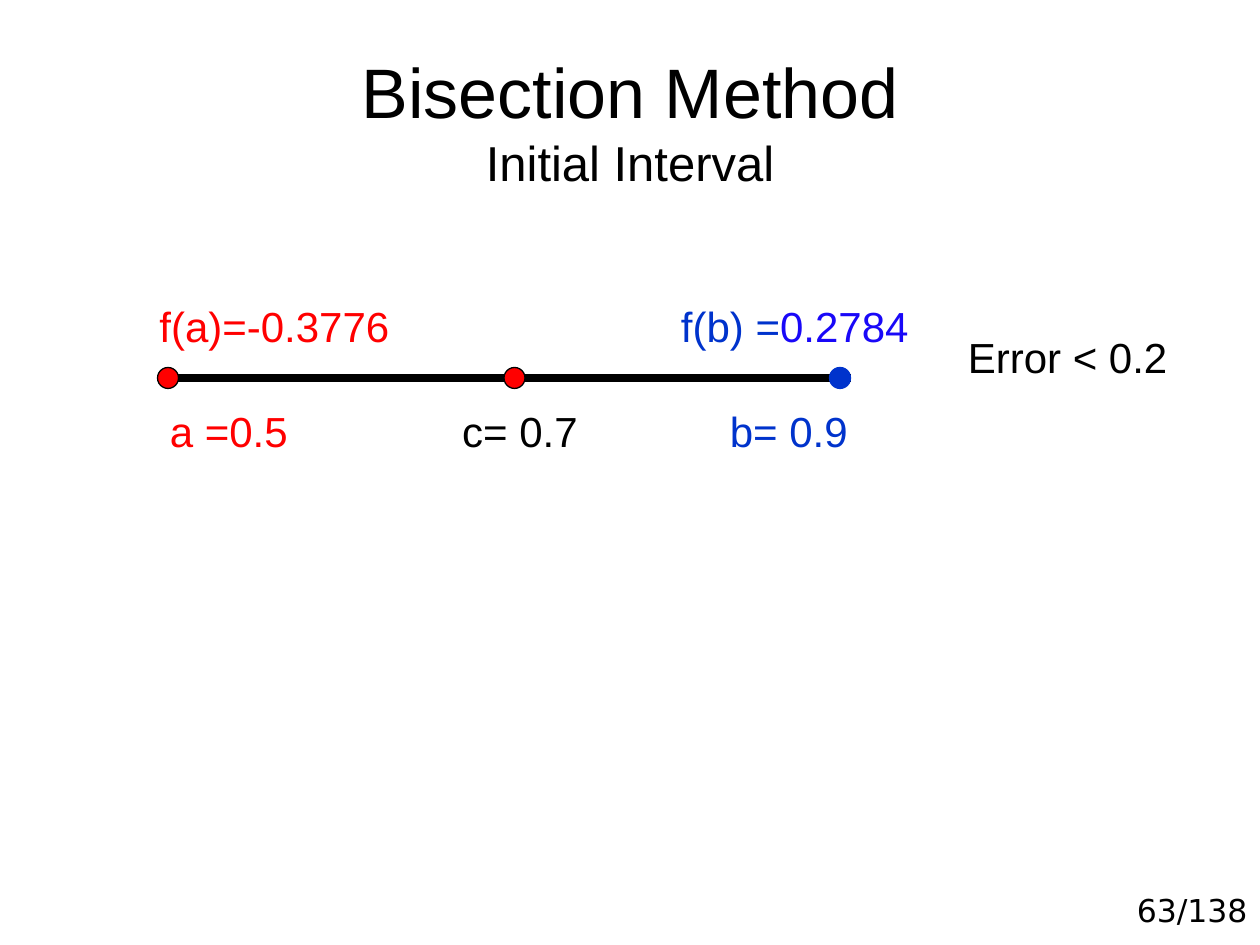
from lxml.etree import SubElement
from pptx import Presentation
from pptx.dml.color import RGBColor
from pptx.enum.shapes import MSO_CONNECTOR, MSO_SHAPE
from pptx.enum.text import MSO_ANCHOR, PP_ALIGN
from pptx.oxml.ns import qn
from pptx.util import Pt

COLORS = {"black": "000000", "red": "FF0000", "blue": "0033CC", "violet": "1908F8"}


def rgb(name):
    return RGBColor.from_string(COLORS[name])


def add_run(p, text, size, color="black", font="Arial"):
    r = p.add_run()
    r.text = text
    r.font.size = Pt(size)
    r.font.name = font
    r.font.color.rgb = rgb(color)


def add_label(slide, box, runs, tabs=(), size=24, font="Arial", align=PP_ALIGN.LEFT):
    tf = slide.shapes.add_textbox(*map(Pt, box)).text_frame
    tf.word_wrap = True
    p = tf.paragraphs[0]
    p.alignment = align
    if tabs:
        tab_list = SubElement(p._p.get_or_add_pPr(), qn("a:tabLst"))
        for tab in tabs:
            SubElement(tab_list, qn("a:tab"), pos=str(Pt(tab)), algn="l")
    for text, color in runs:
        add_run(p, text, size, color, font)


def add_title(slide, box):
    title = slide.shapes.title
    title.left, title.top, title.width, title.height = map(Pt, box)
    tf = title.text_frame
    tf.vertical_anchor = MSO_ANCHOR.BOTTOM
    tf.margin_top = tf.margin_bottom = Pt(2)
    p = tf.paragraphs[0]
    p.alignment = PP_ALIGN.CENTER
    add_run(p, "Bisection Method", 40)
    p.add_line_break()
    add_run(p, "Initial Interval", 28)


def add_interval(slide, box):
    left, top, width, height = box
    dot = 12
    mid_y = top + height / 2
    mid_x = left + 198
    right = left + width

    # Values of f above the line, points below it
    add_label(slide, (left - 6, top, 516, 36),
              [("f(a)=-0.3776\t", "red"), ("f(b) =", "blue"), ("0.2784", "violet")],
              tabs=[298])
    add_label(slide, (left, top + 60, 438, 36),
              [("a =0.5\t", "red"), ("c= 0.7\t", "black"), ("b= 0.9", "blue")],
              tabs=[167, 320])

    # Two halves of the interval
    for start, end in ((mid_x + dot / 2, right), (left + dot / 2, mid_x)):
        line = slide.shapes.add_connector(
            MSO_CONNECTOR.STRAIGHT, Pt(start), Pt(mid_y), Pt(end), Pt(mid_y))
        line.line.color.rgb = rgb("black")
        line.line.width = Pt(4.5)
        SubElement(line._element.spPr, qn("a:effectLst"))

    # End points and midpoint
    for x, fill, outline in ((right - dot, "blue", "blue"),
                             (mid_x, "red", "black"),
                             (left, "red", "black")):
        sp = slide.shapes.add_shape(
            MSO_SHAPE.OVAL, Pt(x), Pt(mid_y - dot / 2), Pt(dot), Pt(dot))
        sp.shadow.inherit = False
        sp.fill.solid()
        sp.fill.fore_color.rgb = rgb(fill)
        sp.line.color.rgb = rgb(outline)
        sp.line.width = Pt(0.75)


def main():
    prs = Presentation()
    prs.slide_width, prs.slide_height = Pt(720), Pt(540)
    slide = prs.slides.add_slide(prs.slide_layouts[5])
    add_title(slide, (36, 21.6, 648, 90))
    add_interval(slide, (90, 168, 396, 96))
    # Error bound
    add_label(slide, (546, 186, 144, 36), [("Error < 0.2", "black")])
    # Page number
    add_label(slide, (606, 505.5, 114, 32), [("63/138", "black")],
              size=18, font="DejaVu Sans", align=PP_ALIGN.RIGHT)
    prs.save("out.pptx")


if __name__ == "__main__":
    main()
